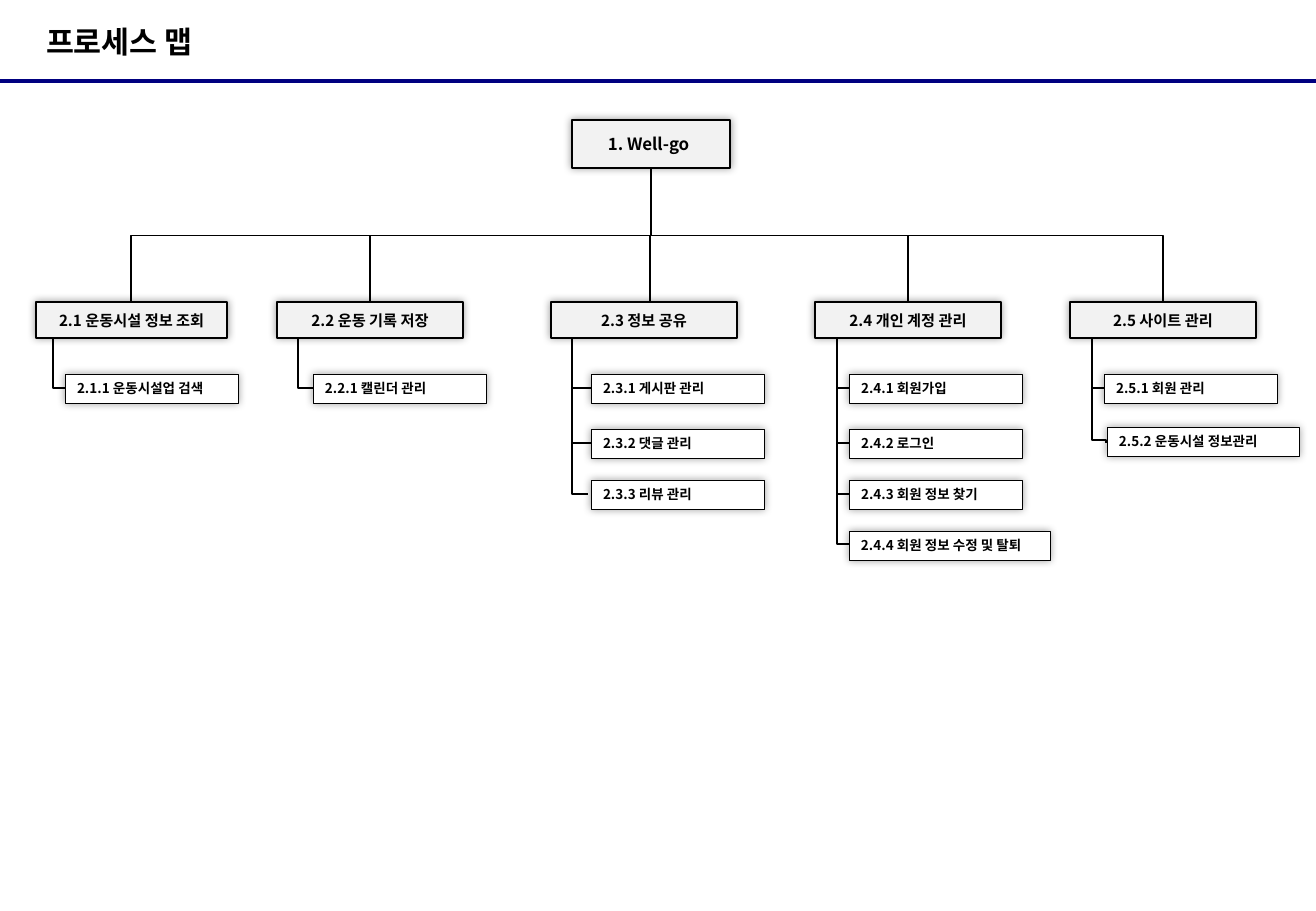
import pptx
import pptx.util
import pptx.dml.color
import pptx.enum.shapes
import pptx.enum.text
import pptx.oxml
import pptx.oxml.ns
import lxml.etree

PX = 914400 / 121.5
KIND = pptx.enum.shapes.MSO_SHAPE
LINK = pptx.enum.shapes.MSO_CONNECTOR
ALIGN = pptx.enum.text.PP_ALIGN
qn = pptx.oxml.ns.qn
SHADE = (
    '<a:outerShdw xmlns:a="http://schemas.openxmlformats.org/drawingml/2006/main" '
    'blurRad="63500" dist="0" algn="ctr" rotWithShape="0">'
    '<a:srgbClr val="000000"><a:alpha val="40000"/></a:srgbClr></a:outerShdw>'
)

deck = pptx.Presentation()
deck.slide_width = round(1316 * PX)
deck.slide_height = round(911 * PX)
slide = deck.slides.add_slide(deck.slide_layouts[6])


def paint(part, tone):
    if hasattr(part, "solid"):
        part.solid()
        part = part.fore_color
    part.rgb = pptx.dml.color.RGBColor.from_string(tone)


def put(text, *, at, size, fill=None, edge=0.75, align=ALIGN.CENTER,
        pad=(12, 6, 12, 6), font="Noto Sans CJK KR"):
    place = [round(n * PX) for n in at]
    if fill:
        box = slide.shapes.add_shape(KIND.RECTANGLE, *place)
        paint(box.fill, fill)
        paint(box.line.fill, "000000")
        box.line.width = pptx.util.Pt(edge)
        box.shadow.inherit = False
        glow = box._element.spPr.find(qn("a:effectLst"))
        glow.append(pptx.oxml.parse_xml(SHADE))
    else:
        box = slide.shapes.add_textbox(*place)
    frame = box.text_frame
    frame.word_wrap = True
    frame.vertical_anchor = pptx.enum.text.MSO_ANCHOR.MIDDLE
    for side, gap in zip(("left", "top", "right", "bottom"), pad):
        setattr(frame, "margin_" + side, round(gap * PX))
    para = frame.paragraphs[0]
    para.alignment = align
    run = para.add_run()
    run.text = text
    run.font.size = pptx.util.Pt(size)
    run.font.bold = True
    run.font.name = font
    paint(run.font.color, "000000")
    east = lxml.etree.SubElement(run._r.rPr, qn("a:ea"))
    east.set("typeface", "Noto Sans CJK KR")


rule = slide.shapes.add_connector(LINK.STRAIGHT, 0, round(81 * PX), deck.slide_width, round(81 * PX))
paint(rule.line.fill, "000080")
rule.line.width = pptx.util.Pt(2.25)
lxml.etree.SubElement(rule._element.spPr, qn("a:effectLst"))

put("프로세스 맵", at=(46, 0, 860, 83), size=18, align=ALIGN.LEFT, pad=(0, 0, 0, 0), font="Arial")
put("1. Well-go", at=(572, 120, 158, 48), size=10, fill="F2F2F2", pad=(7, 6, 12, 6))

groups = [
    ("2.1 운동시설 정보 조회", 36, 191, 131, 53, [("2.1.1 운동시설업 검색", 65, 374, 173)]),
    ("2.2 운동 기록 저장", 277, 186, 370, 298, [("2.2.1 캘린더 관리", 313, 374, 173)]),
    ("2.3 정보 공유", 551, 186, 650, 572, [
        ("2.3.1 게시판 관리", 591, 374, 173),
        ("2.3.2 댓글 관리", 591, 429, 173),
        ("2.3.3 리뷰 관리", 591, 480, 173)]),
    ("2.4 개인 계정 관리", 815, 186, 908, 837, [
        ("2.4.1 회원가입", 849, 374, 173),
        ("2.4.2 로그인", 849, 429, 173),
        ("2.4.3 회원 정보 찾기", 849, 480, 173),
        ("2.4.4 회원 정보 수정 및 탈퇴", 849, 531, 201)]),
    ("2.5 사이트 관리", 1070, 186, 1163, 1092, [
        ("2.5.1 회원 관리", 1104, 374, 173),
        ("2.5.2 운동시설 정보관리", 1107, 427, 192)]),
]

links = []
for name, left, width, drop, spine, items in groups:
    put(name, at=(left, 302, width, 36), size=9, fill="F2F2F2")
    links.append((651, 169, drop, 302, 50000))
    for label, x, y, w in items:
        put(label, at=(x, y, w, 29), size=8, fill="FFFFFF", edge=0.25, align=ALIGN.LEFT)
        if label.startswith("2.5.2"):
            links.append((spine, 386, 1106, 443, 94800))
        elif label.startswith("2.4.4"):
            links.append((spine, 386, x, 544, None))
        elif label.startswith("2.3.3"):
            links.append((spine, 338, 588, 494, None))
        else:
            links.append((spine, 338, x, y + 14, None))

for x1, y1, x2, y2, bend in links:
    long, wide = y2 - y1, abs(x2 - x1)
    left, top = (x1 + x2 - long) / 2, (y1 + y2 - wide) / 2
    ends = [round(n * PX) for n in (left, top, left + long, top + wide)]
    link = slide.shapes.add_connector(LINK.ELBOW, *ends)
    paint(link.line.fill, "000000")
    link.line.width = pptx.util.Pt(0.75)
    props = link._element.spPr
    lxml.etree.SubElement(props, qn("a:effectLst"))
    frame = props.find(qn("a:xfrm"))
    frame.set("rot", "16200000" if x2 > x1 else "5400000")
    if x2 > x1:
        frame.set("flipH", "1")
    shape = props.find(qn("a:prstGeom"))
    if bend is None:
        shape.set("prst", "bentConnector2")
    else:
        guide = lxml.etree.SubElement(shape.find(qn("a:avLst")), qn("a:gd"))
        guide.set("name", "adj1")
        guide.set("fmla", f"val {bend}")

deck.save("out.pptx")
